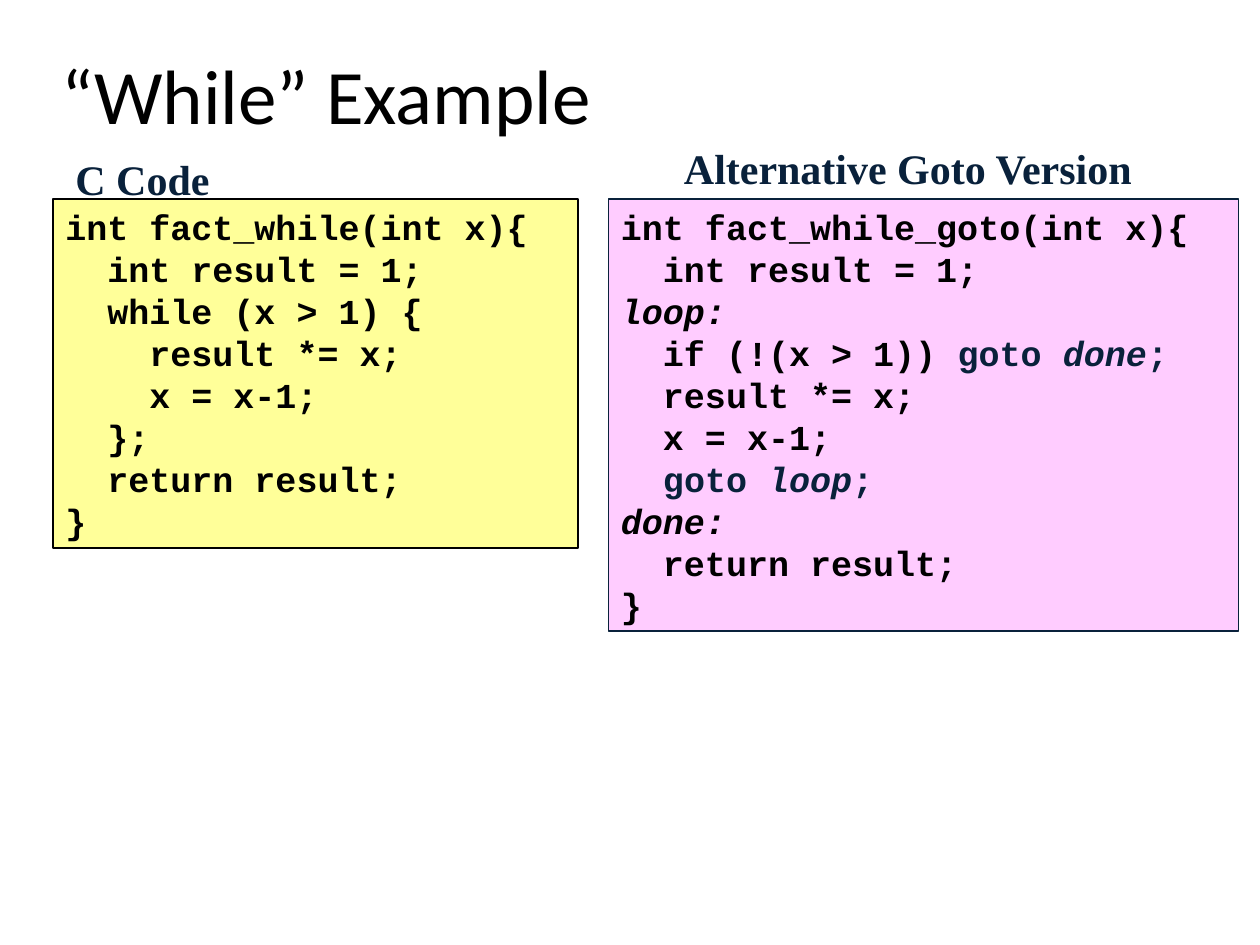
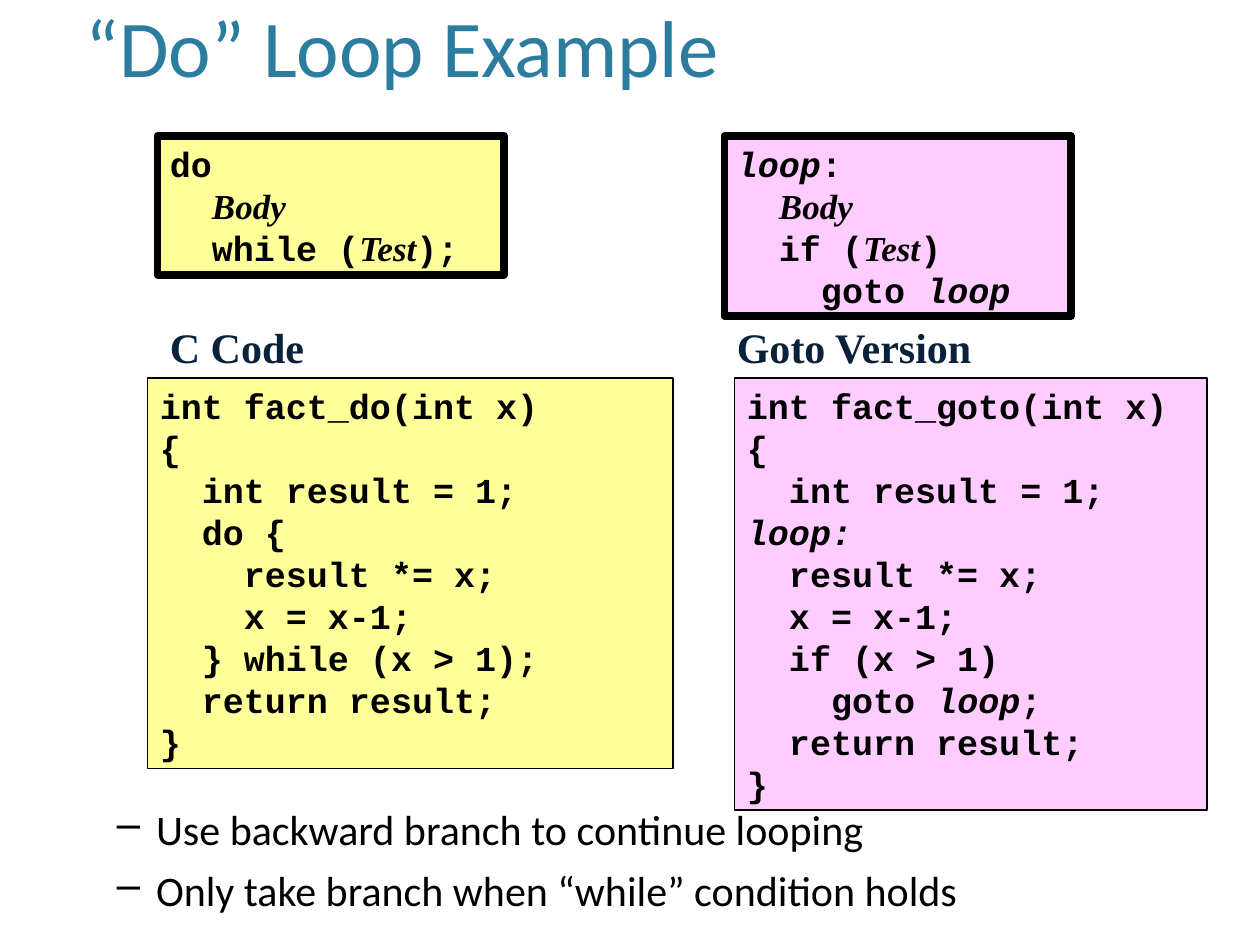
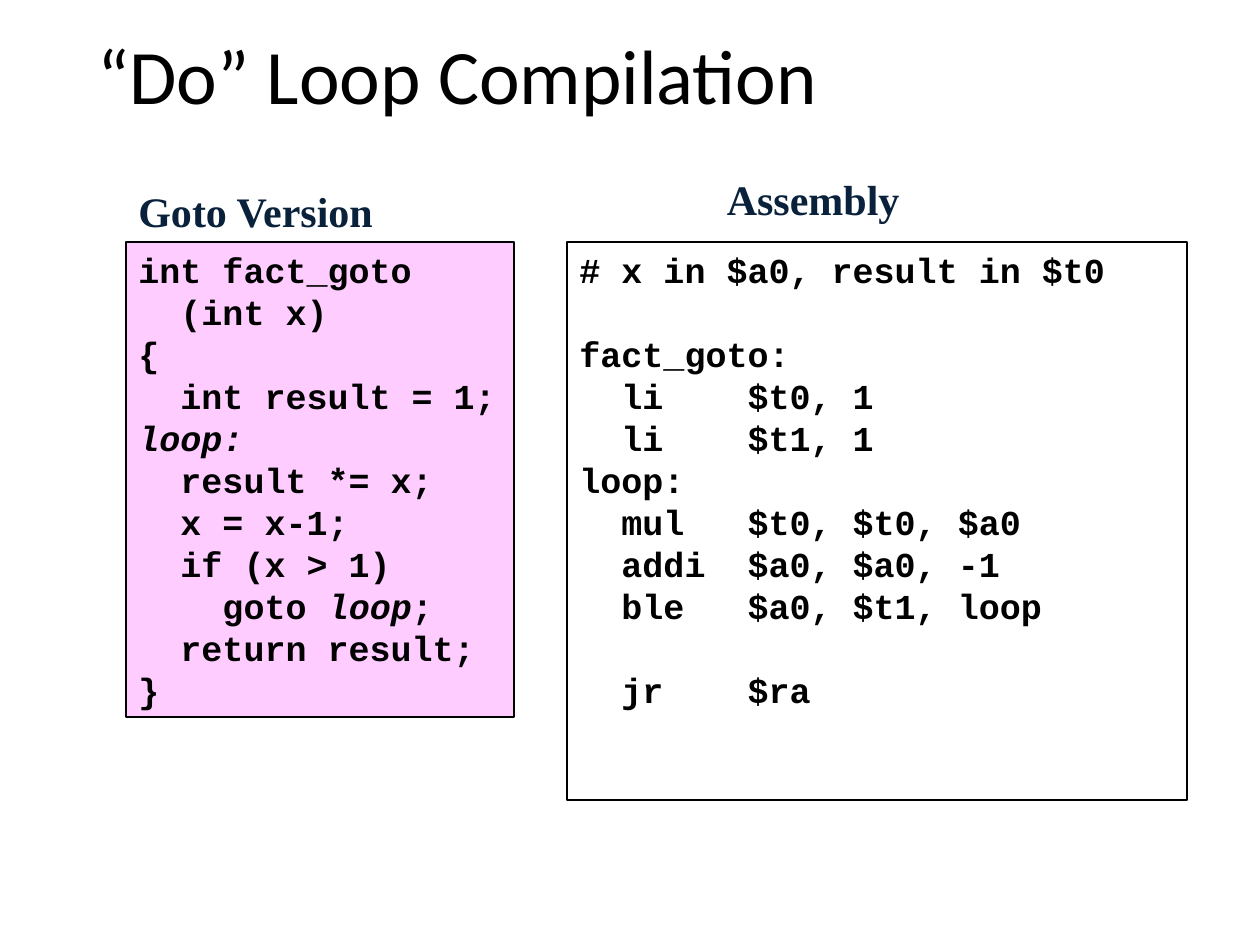
import pptx
import pptx.dml.color
import pptx.enum.shapes
import pptx.enum.text
import pptx.oxml.ns
import pptx.util
from dataclasses import dataclass
from lxml import etree

Anchor = pptx.enum.text.MSO_ANCHOR


@dataclass(frozen=True)
class Theme:
    black: str = "000000"
    navy: str = "09213B"
    teal: str = "2C7C9F"
    yellow: str = "FFFF99"
    pink: str = "FFCCFF"
    sans: str = "Calibri"
    serif: str = "Times New Roman"
    mono: str = "Courier New"
    title_size: int = 44
    text_size: int = 24
    code_size: int = 20
    code_pitch: int = 24
    bullet_gap: int = 6
    thin: float = 1
    thick: float = 4.5


THEME = Theme()
UNIT = 1 / 12       # grid step in inches: the slide is 120 columns by 90 rows
MARGIN = 0.05       # top and bottom inset of every box, in inches
LABEL_ROWS = 5.4
TITLE_ROWS = 7.5

# Styles for the marked parts of a code line
RUN_STYLES = {
    "label": {"italic": True},
    "slot": {"font": THEME.serif, "italic": True},
    "jump": {"color": THEME.navy},
    "target": {"color": THEME.navy, "italic": True},
}

# Code lines: a string, or a list of strings and (text, style) parts
LOOP_LABEL = [("loop:", "label")]
GOTO_BODY = [
    "{", "  int result = 1;", LOOP_LABEL, "  result *= x;", "  x = x-1;", "  if (x > 1)",
    ["    goto", (" loop", "label"), ";"], "  return result;", "}",
]
WHILE_C = [
    "int fact_while(int x){", "  int result = 1;", "  while (x > 1) {", "    result *= x;",
    "    x = x-1;", "  };", "  return result;", "}",
]
WHILE_GOTO = [
    "int fact_while_goto(int x){", "  int result = 1;", LOOP_LABEL,
    ["  if (!(x > 1)) ", ("goto", "jump"), (" done", "target"), (";", "jump")],
    "  result *= x;", "  x = x-1;",
    ["  ", ("goto", "jump"), (" loop", "target"), (";", "jump")],
    [("done:", "label")], "  return result;", "}",
]
DO_C = [
    "int fact_do(int x)", "{", "  int result = 1;", "  do {", "    result *= x;",
    "    x = x-1;", "  } while (x > 1);", "  return result;", "}",
]
DO_PATTERN = ["do", ["  ", ("Body", "slot")], ["  while (", ("Test", "slot"), ");"]]
GOTO_PATTERN = [
    [("loop", "label"), ":"], ["  ", ("Body", "slot")], ["  if (", ("Test", "slot"), ")"],
    ["    goto ", ("loop", "label")],
]
ASSEMBLY = [
    "# x in $a0, result in $t0", "", "fact_goto:", "  li    $t0, 1", "  li    $t1, 1", "loop:",
    "  mul   $t0, $t0, $a0", "  addi  $a0, $a0, -1", "  ble   $a0, $t1, loop", "",
    "  jr    $ra",
]

# Places are (column, row, columns wide) on the grid
SLIDES = [
    {
        "title": {"text": "“While” Example", "at": (4.7, 4, 90)},
        "labels": [("C Code", (6, 14, 34)), ("Alternative Goto Version", (64, 13, 50))],
        "code": [
            {"lines": WHILE_C, "at": (5, 19, 50), "fill": THEME.yellow},
            {"lines": WHILE_GOTO, "at": (58, 19, 60), "fill": THEME.pink, "border": THEME.navy},
        ],
    },
    {
        "title": {"text": "“Do” Loop Example", "at": (7, 2, 99), "size": 46,
                  "color": THEME.teal, "anchor": Anchor.BOTTOM},
        "labels": [("C Code", (15, 30, 34)), ("Goto Version", (69, 30, 30))],
        "code": [
            {"lines": DO_C, "at": (14, 36, 50), "fill": THEME.yellow},
            {"lines": ["int fact_goto(int x)"] + GOTO_BODY, "at": (70, 36, 45),
             "fill": THEME.pink},
            {"lines": DO_PATTERN, "at": (15, 13, 33), "fill": THEME.yellow,
             "weight": THEME.thick},
            {"lines": GOTO_PATTERN, "at": (69, 13, 33), "fill": THEME.pink,
             "weight": THEME.thick},
        ],
        "bullets": {
            "lines": ["Use backward branch to continue looping",
                      "Only take branch when “while” condition holds"],
            "at": (4, 76, 109), "rows": 11.3,
        },
    },
    {
        "title": {"text": "“Do” Loop Compilation", "at": (8, 2, 95)},
        "labels": [("Goto Version", (12, 17, 30)), ("Assembly", (68, 16, 30))],
        "code": [
            {"lines": ["int fact_goto", "  (int x)"] + GOTO_BODY, "at": (12, 23, 37),
             "fill": THEME.pink},
            {"lines": ASSEMBLY, "at": (54, 23, 59), "line_count": 13},
        ],
    },
]


def rgb(color):
    return pptx.dml.color.RGBColor.from_string(color)


def box(at, rows):
    """Left, top, width and height of a place on the grid."""
    column, row, columns = at
    return [pptx.util.Inches(round(n * UNIT, 2)) for n in (column, row, columns, rows)]


def add_bullet(paragraph):
    properties = paragraph._p.get_or_add_pPr()
    properties.set("marL", str(pptx.util.Inches(0.81)))
    properties.set("indent", str(pptx.util.Inches(-0.31)))
    etree.SubElement(properties, pptx.oxml.ns.qn("a:buChar")).set("char", "–")


def write(frame, lines, font=THEME.sans, size=THEME.text_size, color=THEME.black, bold=False,
          italic=False, anchor=Anchor.TOP, pitch=None, gap=0, bullet=False):
    """Fill a text frame; an empty line becomes space before the next one."""
    frame.word_wrap = True
    frame.auto_size = pptx.enum.text.MSO_AUTO_SIZE.NONE
    frame.vertical_anchor = anchor
    frame.margin_top = frame.margin_bottom = pptx.util.Inches(MARGIN)
    base = {"font": font, "color": color, "italic": italic}
    skipped = 0
    for number, line in enumerate(lines):
        if not line:
            skipped += 1
            continue
        paragraph = frame.add_paragraph() if number else frame.paragraphs[0]
        if bullet:
            add_bullet(paragraph)
        paragraph.alignment = pptx.enum.text.PP_ALIGN.LEFT
        if pitch:
            paragraph.line_spacing = pptx.util.Pt(pitch)
        if number and (gap or skipped):
            paragraph.space_before = pptx.util.Pt(gap + skipped * (pitch or size))
        skipped = 0
        for part in [line] if isinstance(line, str) else line:
            text, style = (part, None) if isinstance(part, str) else part
            look = base | RUN_STYLES.get(style, {})
            run = paragraph.add_run()
            run.text = text
            run.font.name, run.font.size = look["font"], pptx.util.Pt(size)
            run.font.bold, run.font.italic = bold, look["italic"]
            run.font.color.rgb = rgb(look["color"])


def set_title(slide, text, at, size=THEME.title_size, **look):
    title = slide.shapes.title
    title.left, title.top, title.width, title.height = box(at, TITLE_ROWS)
    write(title.text_frame, [text], size=size, **look)


def add_label(slide, text, at):
    label = slide.shapes.add_textbox(*box(at, LABEL_ROWS))
    write(label.text_frame, [text], font=THEME.serif, color=THEME.navy, bold=True)


def add_code(slide, lines, at, fill=None, border=THEME.black, weight=THEME.thin,
             line_count=None):
    """A panel whose height follows from its number of code lines."""
    height = (line_count or len(lines)) * THEME.code_pitch / 72 + 2 * MARGIN
    panel = slide.shapes.add_shape(pptx.enum.shapes.MSO_SHAPE.RECTANGLE,
                                   *box(at, height / UNIT))
    panel.shadow.inherit = False
    if fill:
        panel.fill.solid()
        panel.fill.fore_color.rgb = rgb(fill)
    else:
        panel.fill.background()
    panel.line.color.rgb = rgb(border)
    panel.line.width = pptx.util.Pt(weight)
    write(panel.text_frame, lines, font=THEME.mono, size=THEME.code_size, bold=True,
          pitch=THEME.code_pitch)


def add_bullets(slide, lines, at, rows):
    notes = slide.shapes.add_textbox(*box(at, rows))
    write(notes.text_frame, lines, gap=THEME.bullet_gap, bullet=True)


def main():
    deck = pptx.Presentation()
    deck.slide_width, deck.slide_height = pptx.util.Inches(10), pptx.util.Inches(7.5)
    title_only = deck.slide_layouts[5]
    for content in SLIDES:
        slide = deck.slides.add_slide(title_only)
        set_title(slide, **content["title"])
        for text, at in content["labels"]:
            add_label(slide, text, at)
        if "bullets" in content:
            add_bullets(slide, **content["bullets"])
        for code in content["code"]:
            add_code(slide, **code)
    deck.save("out.pptx")


if __name__ == "__main__":
    main()
